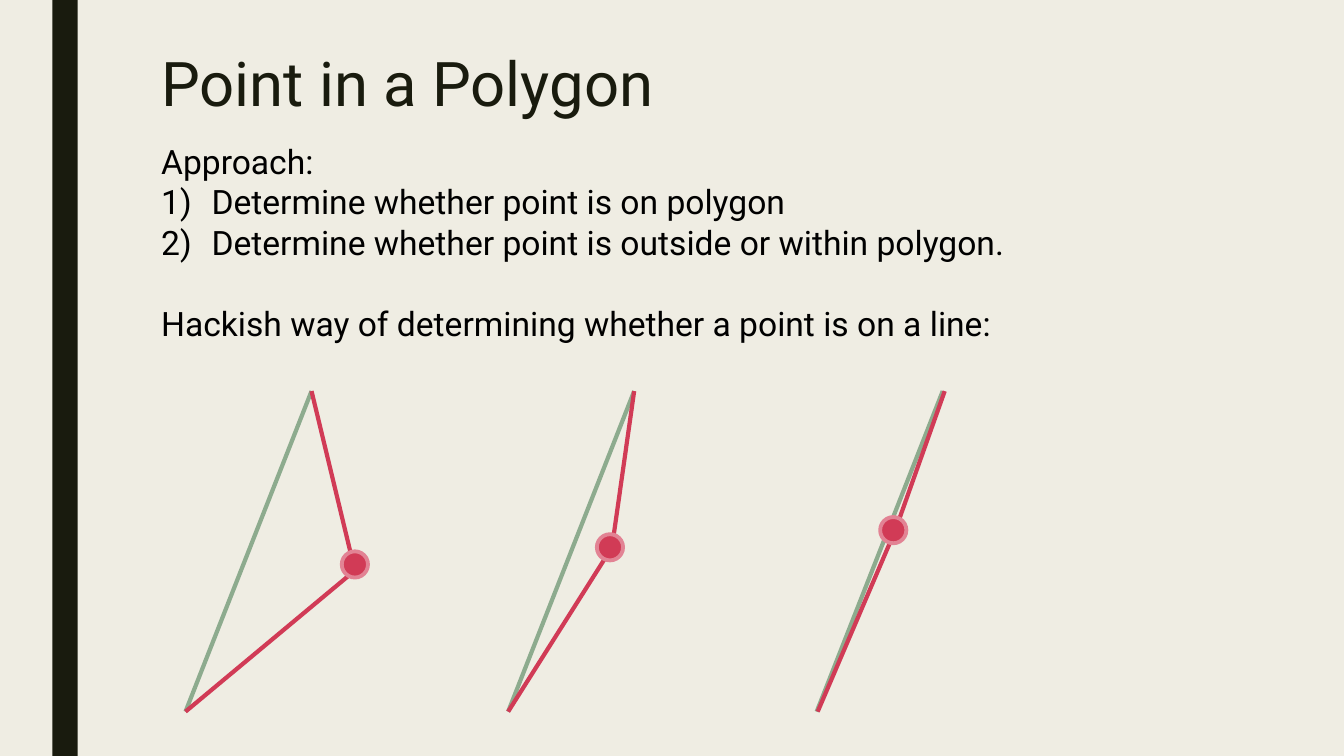
from lxml import etree
from pptx import Presentation
from pptx.dml.color import RGBColor
from pptx.enum.shapes import MSO_CONNECTOR, MSO_SHAPE
from pptx.enum.text import MSO_ANCHOR
from pptx.oxml.ns import qn
from pptx.util import Inches, Pt

STRAIGHT = MSO_CONNECTOR.STRAIGHT
RECTANGLE = MSO_SHAPE.RECTANGLE
OVAL = MSO_SHAPE.OVAL
TOP = MSO_ANCHOR.TOP

FONT = "Roboto"
COLORS = {
    "background": "EFEDE3",
    "dark": "191B0E",
    "text": "000000",
    "edge": "8DAB8E",
    "point": "D13B56",
    "ring": "E28394",
}
EDGE_TOP, EDGE_BOTTOM = 3.88, 7.06
DOT_SIZE = 0.26
TRIANGLES = [
    {"edge": (1.84, 3.09), "path_ends": (1.84, 3.09), "joint": (3.52, 5.66), "dot": (3.39, 5.47)},
    {"edge": (5.04, 6.29), "path_ends": (5.04, 6.29), "joint": (6.07, 5.43), "dot": (5.92, 5.3)},
    {"edge": (8.1, 9.35), "path_ends": (8.11, 9.37), "joint": (8.88, 5.26), "dot": (8.73, 5.13)},
]
BODY = [
    ("Approach:", False, 0),
    ("Determine whether point is on polygon", True, 0),
    ("Determine whether point is outside or within polygon.", True, 0),
    ("Hackish way of determining whether a point is on a line:", False, 29),
]


def rgb(name):
    return RGBColor.from_string(COLORS[name])


def add_filled_shape(slide, kind, left, top, width, height, fill, ring=None):
    shape = slide.shapes.add_shape(kind, Inches(left), Inches(top), Inches(width), Inches(height))
    shape.shadow.inherit = False
    shape.fill.solid()
    shape.fill.fore_color.rgb = rgb(fill)
    if ring:
        shape.line.color.rgb = rgb(ring)
        shape.line.width = Pt(2.75)
    else:
        shape.line.fill.background()


def add_line(slide, start, end, color):
    points = [Inches(value) for value in (*start, *end)]
    connector = slide.shapes.add_connector(STRAIGHT, *points)
    connector.line.color.rgb = rgb(color)
    connector.line.width = Pt(3)
    etree.SubElement(connector._element.spPr, qn("a:effectLst"))


def add_text_frame(slide, left, top, width, height):
    box = slide.shapes.add_textbox(Inches(left), Inches(top), Inches(width), Inches(height))
    frame = box.text_frame
    frame.word_wrap = True
    frame.vertical_anchor = TOP
    return frame


def style_paragraph(paragraph, size, color):
    paragraph.font.name = FONT
    paragraph.font.size = Pt(size)
    paragraph.font.color.rgb = rgb(color)


def number_paragraph(paragraph):
    properties = paragraph._p.get_or_add_pPr()
    properties.set("marL", str(Inches(0.5)))
    properties.set("indent", str(Inches(-0.5)))
    etree.SubElement(properties, qn("a:buFont"), typeface="+mj-lt")
    etree.SubElement(properties, qn("a:buAutoNum"), type="arabicParenR")


def add_title(slide):
    paragraph = add_text_frame(slide, 1.5, 0.49, 10.5, 0.86).paragraphs[0]
    paragraph.text = "Point in a Polygon"
    paragraph.line_spacing = 0.89
    style_paragraph(paragraph, 44, "dark")


def add_body(slide):
    frame = add_text_frame(slide, 1.5, 1.35, 11.07, 2.52)
    for index, (text, numbered, space_before) in enumerate(BODY):
        paragraph = frame.add_paragraph() if index else frame.paragraphs[0]
        paragraph.text = text
        if space_before:
            paragraph.space_before = Pt(space_before)
        if numbered:
            number_paragraph(paragraph)
        style_paragraph(paragraph, 24, "text")


def add_triangles(slide):
    for triangle in TRIANGLES:
        bottom, top = triangle["edge"]
        add_line(slide, (bottom, EDGE_BOTTOM), (top, EDGE_TOP), "edge")
    for triangle in TRIANGLES:
        bottom, top = triangle["path_ends"]
        add_line(slide, triangle["joint"], (top, EDGE_TOP), "point")
        add_line(slide, (bottom, EDGE_BOTTOM), triangle["joint"], "point")
    for triangle in TRIANGLES:
        add_filled_shape(slide, OVAL, *triangle["dot"], DOT_SIZE, DOT_SIZE, "point", "ring")


def main():
    presentation = Presentation()
    presentation.slide_width = Inches(13.33)
    presentation.slide_height = Inches(7.5)
    slide = presentation.slides.add_slide(presentation.slide_layouts[6])
    slide.background.fill.solid()
    slide.background.fill.fore_color.rgb = rgb("background")
    add_filled_shape(slide, RECTANGLE, 0.52, 0, 0.25, 7.5, "dark")
    add_title(slide)
    add_body(slide)
    add_triangles(slide)
    presentation.save("out.pptx")


if __name__ == "__main__":
    main()
